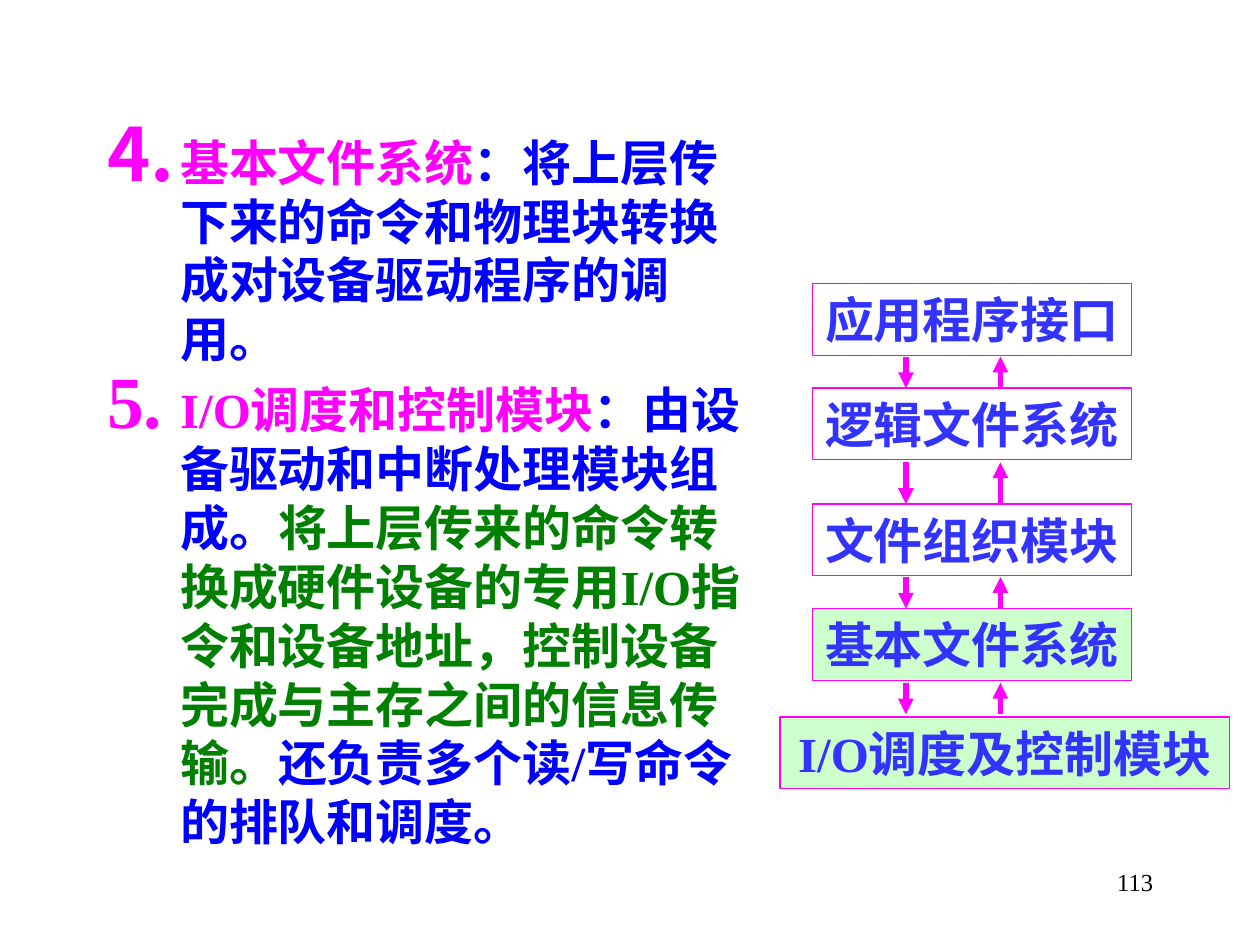
from lxml.etree import SubElement
from pptx import Presentation
from pptx.dml.color import RGBColor
from pptx.enum.shapes import MSO_CONNECTOR, MSO_SHAPE
from pptx.enum.text import MSO_ANCHOR, MSO_AUTO_SIZE, PP_ALIGN
from pptx.oxml.ns import qn
from pptx.util import Inches, Pt

FONT = "Times New Roman"
COLORS = {"magenta": "FF00FF", "blue": "0000FF", "green": "008000", "label": "3333FF",
          "white": "FFFFFF", "mint": "CCFFCC", "black": "000000"}

POINTS = [
    [("基本文件系统", "magenta"),
     ("：将上层传下来的命令和物理块转换成对设备驱动程序的调用。", "blue")],
    [("I/O调度和控制模块", "magenta"),
     ("：由设备驱动和中断处理模块组成。", "blue"),
     ("将上层传来的命令转换成硬件设备的专用I/O指令和设备地址，控制设备完成与主存之间的信息传输。", "green"),
     ("还负责多个读/写命令的排队和调度。", "blue")],
]
FIRST_NUMBER = 4
# label, top, width, fill
LAYERS = [
    ("应用程序接口", 2.25, 2.53, "white"),
    ("逻辑文件系统", 3.08, 2.53, "white"),
    ("文件组织模块", 4.00, 2.53, "white"),
    ("基本文件系统", 4.83, 2.53, "mint"),
    ("I/O调度及控制模块", 5.69, 3.57, "mint"),
]
LAYER_LEFT, LAYER_HEIGHT = 6.45, 0.57
WIDE_LEFT = 6.19
# top and bottom of each pair of arrows
ARROW_SPANS = [(2.83, 3.08), (3.67, 4), (4.58, 4.83), (5.42, 5.67)]
DOWN_X, UP_X = 7.19, 7.94


def color(name):
    return RGBColor.from_string(COLORS[name])


def add_text(paragraph, text, size=28, ink="black", bold=False, align=None):
    if align is not None:
        paragraph.alignment = align
    run = paragraph.add_run()
    run.text = text
    run.font.name = FONT
    run.font.size = Pt(size)
    run.font.bold = bold
    run.font.color.rgb = color(ink)


def number_paragraph(paragraph):
    """Number with a hanging indent and keep punctuation inside the text area."""
    properties = paragraph._p.get_or_add_pPr()
    properties.set("marL", str(Inches(0.58)))
    properties.set("indent", str(-Inches(0.58)))
    properties.set("hangingPunct", "0")
    bullet_color = SubElement(properties, qn("a:buClr"))
    SubElement(bullet_color, qn("a:srgbClr"), val=COLORS["magenta"])
    SubElement(properties, qn("a:buSzPct"), val="150000")
    SubElement(properties, qn("a:buFontTx"))
    SubElement(properties, qn("a:buAutoNum"), type="arabicPeriod", startAt=str(FIRST_NUMBER))


def add_points(body):
    body.left, body.top, body.width, body.height = map(Inches, (0.75, 1, 5.25, 5.92))
    frame = body.text_frame
    frame.auto_size = MSO_AUTO_SIZE.NONE
    frame.vertical_anchor = MSO_ANCHOR.TOP
    for index, runs in enumerate(POINTS):
        paragraph = frame.add_paragraph() if index else frame.paragraphs[0]
        number_paragraph(paragraph)
        paragraph.space_before = Pt(7 if index else 0)
        for text, ink in runs:
            add_text(paragraph, text, ink=ink, bold=True)


def add_layer(shapes, label, top, width, fill):
    is_wide = width > LAYERS[0][2]
    left = WIDE_LEFT if is_wide else LAYER_LEFT
    box = shapes.add_shape(MSO_SHAPE.RECTANGLE, *map(Inches, (left, top, width, LAYER_HEIGHT)))
    box.shadow.inherit = False
    box.fill.solid()
    box.fill.fore_color.rgb = color(fill)
    box.line.color.rgb = color("magenta")
    box.line.width = Pt(0.75)
    frame = box.text_frame
    frame.word_wrap = False
    frame.auto_size = MSO_AUTO_SIZE.SHAPE_TO_FIT_TEXT
    frame.vertical_anchor = MSO_ANCHOR.TOP
    add_text(frame.paragraphs[0], label, ink="label", bold=True,
             align=PP_ALIGN.CENTER if is_wide else PP_ALIGN.LEFT)


def add_arrow(shapes, x, start, end):
    arrow = shapes.add_connector(MSO_CONNECTOR.STRAIGHT, *map(Inches, (x, start, x, end)))
    arrow.line.color.rgb = color("magenta")
    arrow.line.width = Pt(3)
    SubElement(arrow.line._get_or_add_ln(), qn("a:tailEnd"), type="triangle")
    SubElement(arrow._element.spPr, qn("a:effectLst"))


def add_stack(slide):
    shapes = slide.shapes.add_group_shape().shapes
    for layer in LAYERS:
        add_layer(shapes, *layer)
    for top, bottom in ARROW_SPANS:
        add_arrow(shapes, DOWN_X, top, bottom)
        add_arrow(shapes, UP_X, bottom, top)


def main():
    presentation = Presentation()
    presentation.slide_width, presentation.slide_height = Inches(10), Inches(7.5)
    slide = presentation.slides.add_slide(presentation.slide_layouts[1])
    title = slide.shapes.title._element
    title.getparent().remove(title)

    page_number = slide.shapes.add_textbox(*map(Inches, (7.17, 6.83, 2.08, 0.5)))
    page_number.text_frame.word_wrap = True
    add_text(page_number.text_frame.paragraphs[0], "113", size=14, align=PP_ALIGN.RIGHT)
    add_points(slide.placeholders[1])
    add_stack(slide)
    presentation.save("out.pptx")


if __name__ == "__main__":
    main()
